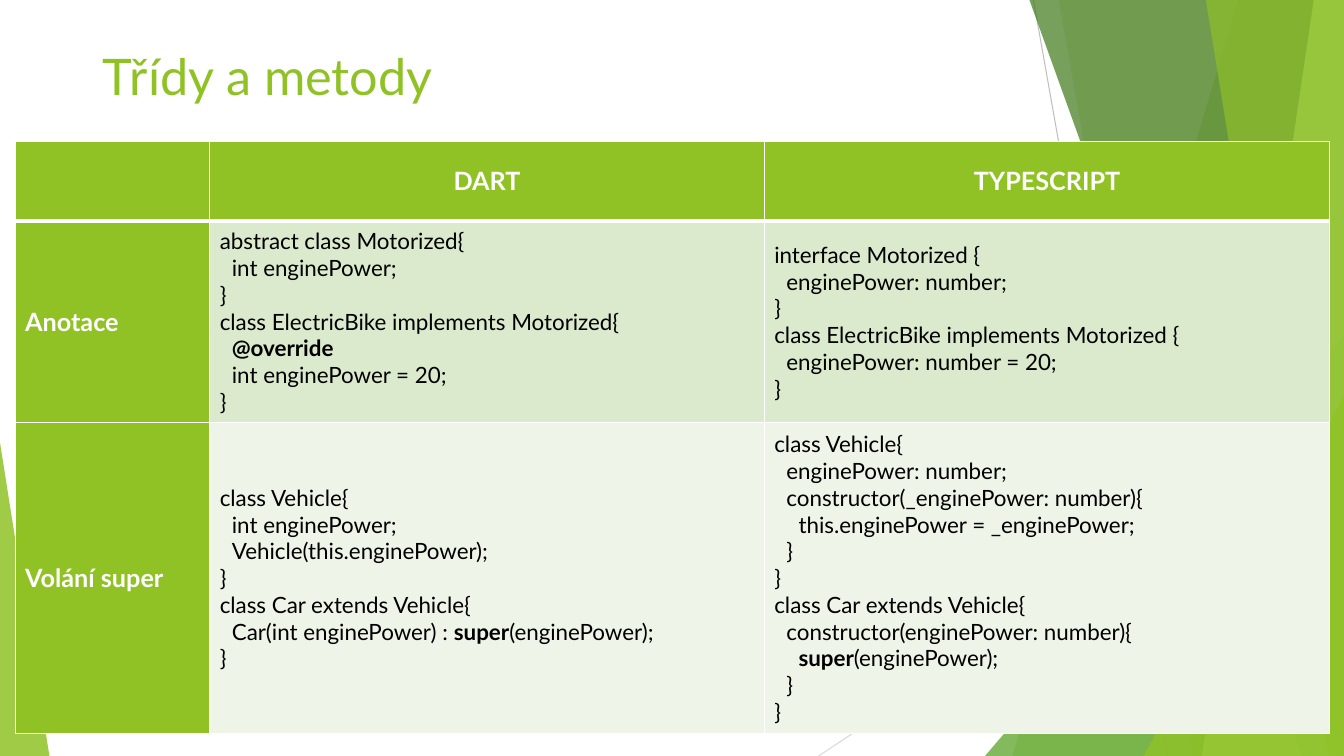
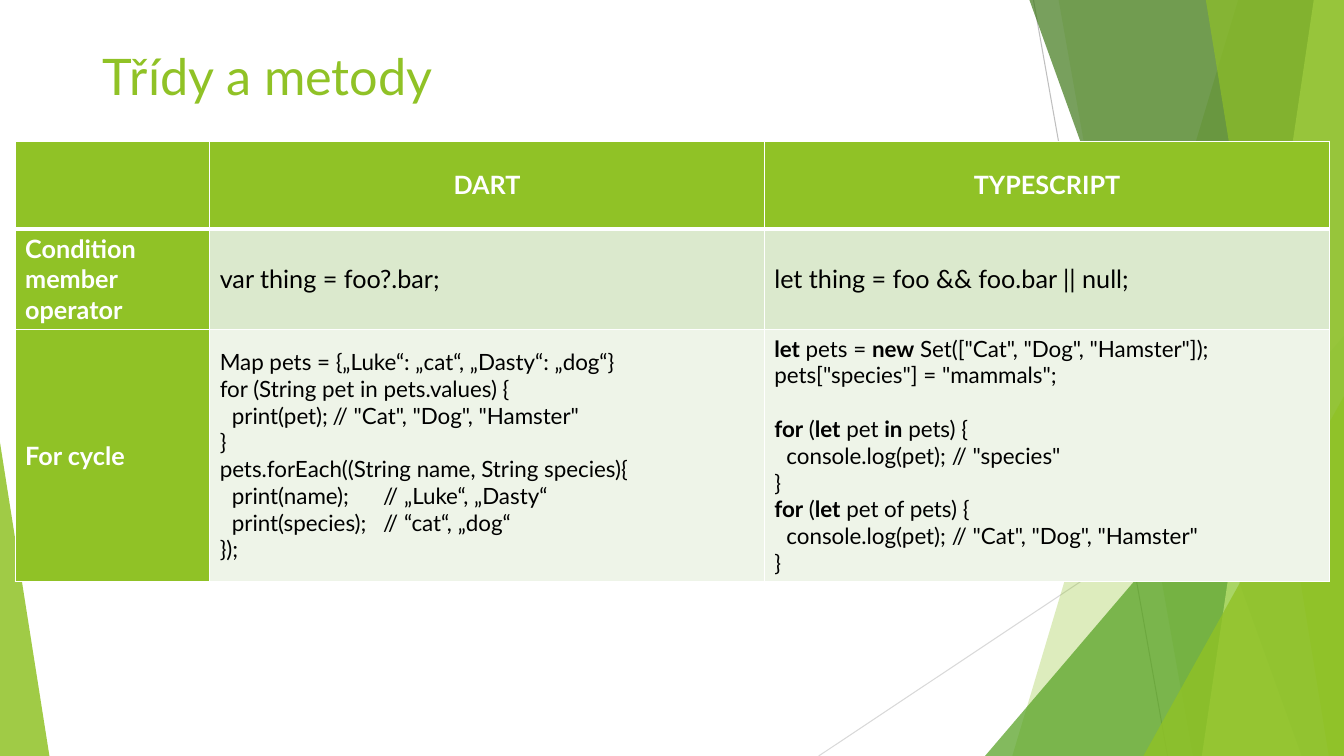
from pptx import Presentation, util as u
from pptx.dml import color
from pptx.enum import shapes, text
from pptx.oxml import ns, xmlchemy

FONT = "Lato"
LIME, GREEN, FOREST, PALE = "90C226", "54A021", "3F7819", "C0E474"
WHITE, BLACK = "FFFFFF", "000000"
BANDS = ("DBE9CD", "EEF4E8")
WIDTH, HEIGHT = 13.33, 7.5

TABLE_LEFT, TABLE_TOP = 0.15, 1.4
COLUMNS = (1.93, 5.5, 5.61)
HEADINGS = ("", "DART", "TYPESCRIPT")
SPACE_WIDTH = 0.06
COMMENT_TAB = 1.55

HEADING = {"size": u.Pt(18), "bold": True, "color": WHITE}
CODE = {"size": u.Pt(16), "bold": False, "color": BLACK}
LARGE_CODE = {**CODE, "size": u.Pt(18)}

# Each line: start, end, colour
RAYS = [
    ((10.25, 0), (11.58, HEIGHT), "BFBFBF"),
    ((WIDTH, 4.03), (8.12, HEIGHT), "D9D9D9"),
]
# Band: top x, bottom x, colour, opacity; always reaches the right edge.
# Triangle: left, top, width, apex, colour, opacity; always reaches the bottom.
FACETS = [
    ("band", 12.28, 10.04, LIME, 30),
    ("band", 10.5, 11.83, LIME, 20),
    ("triangle", 9.77, 3.33, 3.56, 1, GREEN, 72),
    ("band", 10.21, 12.91, FOREST, 70),
    ("band", 13.03, 11.92, PALE, 70),
    ("band", 11.96, 13.18, LIME, 65),
    ("triangle", 11.34, 3.93, 1.99, 1, LIME, 80),
    ("triangle", 0, 4.39, 0.49, 0, LIME, 85),
]

# In code, ** switches bold on and off.
DART_ANNOTATION = """abstract class Motorized{
  int enginePower;
}
class ElectricBike implements Motorized{
  **@override**
  int enginePower = 20;
}"""
TYPESCRIPT_ANNOTATION = """interface Motorized {
  enginePower: number;
}
class ElectricBike implements Motorized {
  enginePower: number = 20;
}"""
DART_SUPER = """class Vehicle{
  int enginePower;
  Vehicle(this.enginePower);
}
class Car extends Vehicle{
  Car(int enginePower) : **super**(enginePower);
}"""
TYPESCRIPT_SUPER = """class Vehicle{
  enginePower: number;
  constructor(_enginePower: number){
    this.enginePower = _enginePower;
  }
}
class Car extends Vehicle{
  constructor(enginePower: number){
    **super**(enginePower);
  }
}"""
DART_LOOP = """Map pets = {„Luke“: „cat“, „Dasty“: „dog“}
for (String pet in pets.values) {
  print(pet);\t// "Cat", "Dog", "Hamster"
}
pets.forEach((String name, String species){
  print(name);\t// „Luke“, „Dasty“
  print(species);\t// “cat“, „dog“
});"""
TYPESCRIPT_LOOP = """**let** pets = **new** Set(["Cat", "Dog", "Hamster"]); pets["species"] = "mammals";

**for** (**let** pet **in** pets) {
  console.log(pet); // "species"
}
**for** (**let** pet of pets) {
  console.log(pet); // "Cat", "Dog", "Hamster"
}"""

# Each slide: title, row heights, body rows (label, Dart, TypeScript, code format)
SLIDES = [
    ("Třídy a metody", (0.79, 2, 3.09), [
        ("Anotace", DART_ANNOTATION, TYPESCRIPT_ANNOTATION, CODE),
        ("Volání super", DART_SUPER, TYPESCRIPT_SUPER, CODE),
    ]),
    ("Třídy a metody", (0.87, 1, 2.48), [
        ("Condition member operator", "var thing = foo?.bar;",
         "let thing = foo && foo.bar || null;", LARGE_CODE),
        ("For cycle", DART_LOOP, TYPESCRIPT_LOOP, CODE),
    ]),
]


def rgb(value):
    return color.RGBColor.from_string(value)


def add_child(parent, tag, **attributes):
    child = xmlchemy.OxmlElement(tag)
    for name, value in attributes.items():
        child.set(name, str(value))
    parent.append(child)
    return child


def add_span(para, words, style):
    span = para.add_run()
    span.text = words
    span.font.name = FONT
    for name, value in style.items():
        if name == "color":
            span.font.color.rgb = rgb(value)
        else:
            setattr(span.font, name, value)


def write_lines(frame, content, style):
    """Write one paragraph a line; leading spaces become indents, blank lines gaps."""
    para, gap = frame.paragraphs[0], None
    for number, line in enumerate(content.split("\n")):
        if not line:
            gap = u.Pt(style["size"].pt * 1.2)
            continue
        if number:
            para = frame.add_paragraph()
        if gap:
            para.space_before, gap = gap, None
        words = line.lstrip(" ")
        properties = para._p.get_or_add_pPr()
        indent = u.Inches((len(line) - len(words)) * SPACE_WIDTH)
        properties.set("marL", str(indent))
        properties.set("indent", "0")
        if "\t" in words:
            stops = add_child(properties, "a:tabLst")
            add_child(stops, "a:tab", pos=u.Inches(COMMENT_TAB), algn="l")
        for position, piece in enumerate(words.split("**")):
            if piece:
                bold = style["bold"] or position % 2 == 1
                add_span(para, piece, {**style, "bold": bold})


def add_ray(page, start, end, shade):
    ray = page.shapes.add_connector(
        shapes.MSO_CONNECTOR.STRAIGHT, *map(u.Inches, start + end))
    ray.line.color.rgb = rgb(shade)
    ray.line.width = u.Pt(0.75)
    add_child(ray._element.spPr, "a:effectLst")


def paint(shape, shade, opacity):
    shape.shadow.inherit = False
    shape.line.fill.background()
    shape.fill.solid()
    shape.fill.fore_color.rgb = rgb(shade)
    tint = shape._element.spPr.find(ns.qn("a:solidFill")).find(ns.qn("a:srgbClr"))
    add_child(tint, "a:alpha", val=opacity * 1000)


def add_band(page, top_x, bottom_x, shade, opacity):
    corners = [(top_x, 0), (WIDTH, 0), (WIDTH, HEIGHT), (bottom_x, HEIGHT)]
    points = [(u.Inches(x), u.Inches(y)) for x, y in corners]
    outline = page.shapes.build_freeform(*points[0])
    outline.add_line_segments(points[1:], close=True)
    paint(outline.convert_to_shape(), shade, opacity)


def add_triangle(page, left, top, width, apex, shade, opacity):
    triangle = page.shapes.add_shape(
        shapes.MSO_SHAPE.ISOSCELES_TRIANGLE,
        *map(u.Inches, (left, top, width, HEIGHT - top)))
    triangle.adjustments[0] = apex
    paint(triangle, shade, opacity)


def add_backdrop(page):
    for ray in RAYS:
        add_ray(page, *ray)
    builders = {"band": add_band, "triangle": add_triangle}
    for kind, *values in FACETS:
        builders[kind](page, *values)


def add_title(page, title):
    box = page.shapes.add_textbox(*map(u.Inches, (0.92, 0.4, 11.5, 1)))
    box.text_frame.word_wrap = True
    style = {"size": u.Pt(36), "color": LIME}
    add_span(box.text_frame.paragraphs[0], title, style)


def set_borders(cell, top=1, bottom=1):
    properties = cell._tc.get_or_add_tcPr()
    for side, points in {"L": 1, "R": 1, "T": top, "B": bottom}.items():
        border = add_child(properties, f"a:ln{side}", w=u.Pt(points))
        add_child(add_child(border, "a:solidFill"), "a:srgbClr", val=WHITE)


def fill_cell(cell, content, style, shade, **borders):
    set_borders(cell, **borders)
    cell.fill.solid()
    cell.fill.fore_color.rgb = rgb(shade)
    cell.vertical_anchor = text.MSO_ANCHOR.MIDDLE
    write_lines(cell.text_frame, content, style)


def add_comparison(page, heights, rows):
    bounds = (TABLE_LEFT, TABLE_TOP, sum(COLUMNS), sum(heights))
    table = page.shapes.add_table(
        len(heights), len(COLUMNS), *map(u.Inches, bounds)).table
    table.horz_banding = False
    for column, width in zip(table.columns, COLUMNS):
        column.width = u.Inches(width)
    for row, height in zip(table.rows, heights):
        row.height = u.Inches(height)
    for column, heading in enumerate(HEADINGS):
        cell = table.cell(0, column)
        fill_cell(cell, heading, HEADING, LIME, bottom=3)
        cell.text_frame.paragraphs[0].alignment = text.PP_ALIGN.CENTER
    for row, (label, dart, typescript, style) in enumerate(rows, 1):
        top = 3 if row == 1 else 1
        fill_cell(table.cell(row, 0), label, HEADING, LIME, top=top)
        for column, code in enumerate((dart, typescript), 1):
            fill_cell(table.cell(row, column), code, style, BANDS[row - 1], top=top)


def main():
    deck = Presentation()
    deck.slide_width, deck.slide_height = u.Inches(WIDTH), u.Inches(HEIGHT)
    for title, heights, rows in SLIDES:
        page = deck.slides.add_slide(deck.slide_layouts[6])
        add_backdrop(page)
        add_title(page, title)
        add_comparison(page, heights, rows)
    deck.save("out.pptx")


if __name__ == "__main__":
    main()
